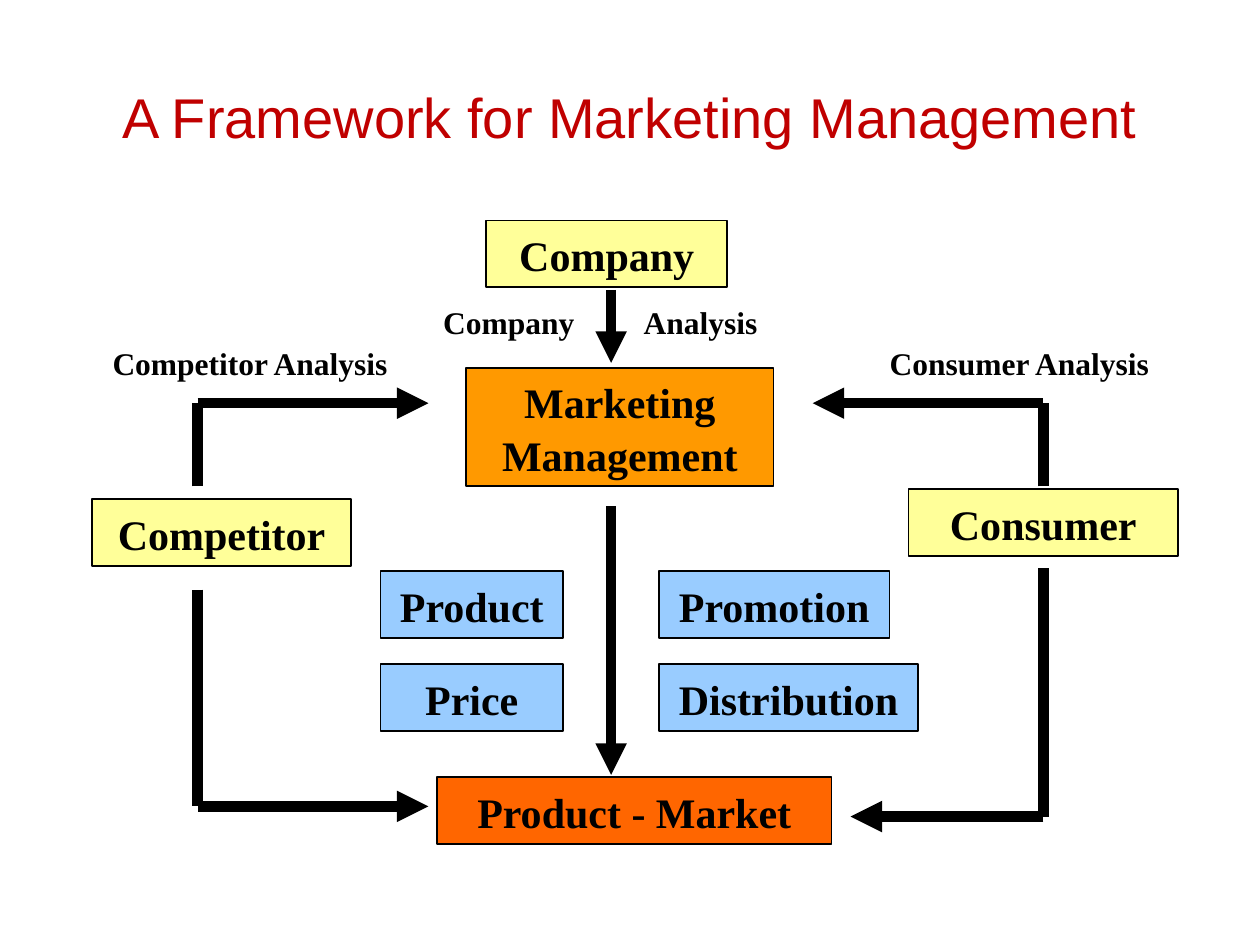
from lxml import etree
from pptx import Presentation
from pptx.dml.color import RGBColor
from pptx.enum.shapes import MSO_CONNECTOR, MSO_SHAPE
from pptx.enum.text import MSO_ANCHOR, PP_ALIGN
from pptx.oxml.ns import qn
from pptx.util import Pt

STRAIGHT = MSO_CONNECTOR.STRAIGHT
RECT = MSO_SHAPE.RECTANGLE
MIDDLE = MSO_ANCHOR.MIDDLE
CENTER, LEFT = PP_ALIGN.CENTER, PP_ALIGN.LEFT

BLACK = RGBColor(0x00, 0x00, 0x00)
RED = RGBColor(0xC0, 0x00, 0x00)
YELLOW = RGBColor(0xFF, 0xFF, 0x99)
AMBER = RGBColor(0xFF, 0x99, 0x00)
ORANGE = RGBColor(0xFF, 0x66, 0x00)
BLUE = RGBColor(0x99, 0xCC, 0xFF)


class Board:
    head = "Arial"
    body = "Times New Roman"
    row = 38.2

    def __init__(self, slide):
        self.slide = slide
        self.shapes = slide.shapes

    def fill_text(self, shape, text, size, align=CENTER):
        frame = shape.text_frame
        frame.word_wrap = True
        frame.vertical_anchor = MIDDLE
        para = frame.paragraphs[0]
        para.text = text
        para.alignment = align
        para.line_spacing = 1.05
        font = para.font
        font.name, font.size, font.bold = self.body, Pt(size), True
        font.color.rgb = BLACK
        return para

    def title(self, text):
        shape = self.shapes.title
        shape.left, shape.top = Pt(36), Pt(21.6)
        shape.width, shape.height = Pt(648), Pt(90)
        shape.text_frame.vertical_anchor = MIDDLE
        para = shape.text_frame.paragraphs[0]
        para.text = text
        para.alignment = CENTER
        para.font.name, para.font.size = self.head, Pt(32)
        para.font.color.rgb = RED

    def box(self, text, x, y, width, fill, height=row):
        shape = self.shapes.add_shape(
            RECT, Pt(x), Pt(y), Pt(width), Pt(height))
        shape.shadow.inherit = False
        shape.fill.solid()
        shape.fill.fore_color.rgb = fill
        shape.line.color.rgb = BLACK
        shape.line.width = Pt(1)
        self.fill_text(shape, text, 24)

    def label(self, text, x, y, width, tab=None):
        """Add a caption; with a tab stop it starts at the left edge."""
        shape = self.shapes.add_textbox(Pt(x), Pt(y), Pt(width), Pt(29.5))
        para = self.fill_text(shape, text, 18, LEFT if tab else CENTER)
        if tab:
            shape.text_frame.margin_left = 0
            props = para._p.get_or_add_pPr()
            stops = etree.Element(qn("a:tabLst"))
            etree.SubElement(stops, qn("a:tab"), pos=str(Pt(tab)), algn="l")
            # The tab list comes before the default run properties.
            props.find(qn("a:defRPr")).addprevious(stops)

    def route(self, *points):
        """Draw straight lines through the points, with a final arrowhead."""
        for start, end in zip(points, points[1:]):
            line = self.shapes.add_connector(
                STRAIGHT, *(Pt(v) for v in start + end))
            line.line.color.rgb = BLACK
            line.line.width = Pt(6)
            props = line._element.spPr
            etree.SubElement(props, qn("a:effectLst"))
            if end == points[-1]:
                etree.SubElement(
                    props.find(qn("a:ln")), qn("a:tailEnd"), type="triangle")


def main():
    deck = Presentation()
    deck.slide_width, deck.slide_height = Pt(720), Pt(540)
    board = Board(deck.slides.add_slide(deck.slide_layouts[5]))
    board.title("A Framework for Marketing Management")

    board.box("Marketing Management", 266.4, 210.2, 175.7, AMBER, 67.7)
    board.box("Company", 277.9, 126, 137.5, YELLOW)
    board.box("Competitor", 52.5, 285.1, 148.3, YELLOW)
    board.box("Consumer", 519.1, 279.4, 154.1, YELLOW)
    board.box("Product - Market", 249.8, 444.2, 225.4, ORANGE)

    mix = (
        (("Product", 104.4), ("Promotion", 131.8)),
        (("Price", 104.4), ("Distribution", 148.3)),
    )
    for i, pair in enumerate(mix):
        for j, (name, width) in enumerate(pair):
            board.box(name, 217.4 + j * 159.1, 326.2 + i * 53.3, width, BLUE)

    board.label("Company\tAnalysis", 253.3, 168.5, 211, tab=114.5)
    board.label("Competitor Analysis", 36, 192.2, 213.8)
    board.label("Consumer Analysis", 481, 192.2, 203)

    mid = 349.2
    board.route((mid, 165.6), (mid, 207.4))
    board.route((mid, 289.4), (mid, 442.8))

    # Each side: line x, upper tip, start of lower line, its end, lower tip
    for x, upper, start, base, lower in (
        (113, 244.8, 337, 460.8, 244.8),
        (596.2, 464.4, 324.7, 466.6, 486),
    ):
        board.route((x, 277.9), (x, 230.4), (upper, 230.4))
        board.route((x, start), (x, base), (lower, base))

    deck.save("out.pptx")


if __name__ == "__main__":
    main()
